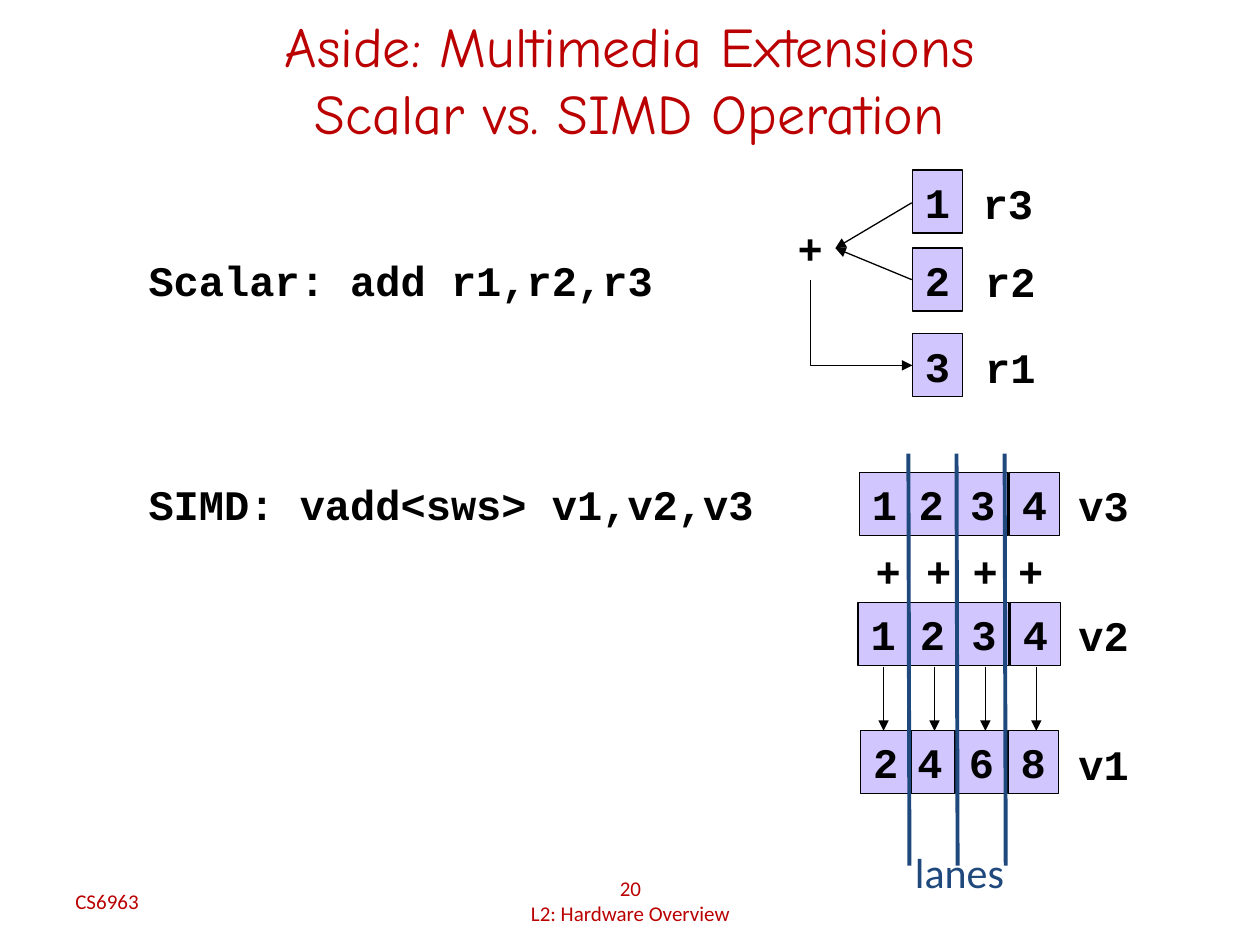
from lxml import etree
from pptx import Presentation
from pptx.dml.color import RGBColor
from pptx.enum.shapes import MSO_CONNECTOR, MSO_SHAPE
from pptx.enum.text import MSO_ANCHOR, PP_ALIGN
from pptx.oxml.ns import qn
from pptx.util import Pt

STRAIGHT, ELBOW = MSO_CONNECTOR.STRAIGHT, MSO_CONNECTOR.ELBOW
RECTANGLE = MSO_SHAPE.RECTANGLE
TOP, MIDDLE = MSO_ANCHOR.TOP, MSO_ANCHOR.MIDDLE
LEFT, CENTER = PP_ALIGN.LEFT, PP_ALIGN.CENTER


def color(value):
    return RGBColor.from_string(value)


class Canvas:
    """Holds the deck style and draws each kind of element on one slide."""

    RED, BLUE, BLACK, LILAC = "BA0000", "1F497D", "000000", "D2C6FE"
    CODE, PLAIN, HAND = "Courier New", "Calibri", "Comic Neue"
    CELL_WIDTH, HEIGHT = 28.8, 36

    def __init__(self, slide):
        self.slide = slide

    def run(self, paragraph, wording, font, size, ink, bold=False):
        run = paragraph.add_run()
        run.text = wording
        run.font.name = font
        run.font.size = Pt(size)
        run.font.bold = bold
        run.font.color.rgb = color(ink)

    def title(self, lines, left, top, width, height):
        heading = self.slide.shapes.title
        heading.left, heading.top = Pt(left), Pt(top)
        heading.width, heading.height = Pt(width), Pt(height)
        heading.text_frame.vertical_anchor = MIDDLE
        paragraph = heading.text_frame.paragraphs[0]
        paragraph.alignment = CENTER
        for number, line in enumerate(lines):
            if number:
                paragraph.add_line_break()
            self.run(paragraph, line, self.HAND, 32, self.RED)

    def code(self, frame, wording, align=CENTER, anchor=TOP):
        frame.word_wrap = False
        frame.vertical_anchor = anchor
        paragraph = frame.paragraphs[0]
        paragraph.alignment = align
        self.run(paragraph, wording, self.CODE, 24, self.BLACK, True)

    def label(self, wording, left, top, width, align=CENTER, anchor=TOP):
        box = self.slide.shapes.add_textbox(Pt(left), Pt(top), Pt(width), Pt(self.HEIGHT))
        self.code(box.text_frame, wording, align, anchor)

    def cell(self, value, left, top):
        box = self.slide.shapes.add_shape(
            RECTANGLE, Pt(left), Pt(top), Pt(self.CELL_WIDTH), Pt(self.HEIGHT))
        box.shadow.inherit = False
        box.fill.solid()
        box.fill.fore_color.rgb = color(self.LILAC)
        box.line.color.rgb = color(self.BLACK)
        box.line.width = Pt(0.75)
        self.code(box.text_frame, value)

    def note(self, lines, left, top, width, height, size, ink, align, anchor=MIDDLE, wrap=True):
        box = self.slide.shapes.add_textbox(Pt(left), Pt(top), Pt(width), Pt(height))
        frame = box.text_frame
        frame.word_wrap = wrap
        frame.vertical_anchor = anchor
        for number, line in enumerate(lines):
            paragraph = frame.add_paragraph() if number else frame.paragraphs[0]
            paragraph.alignment = align
            self.run(paragraph, line, self.PLAIN, size, ink)

    def line(self, start, end, ink=BLACK, width=0.75, kind=STRAIGHT):
        line = self.slide.shapes.add_connector(kind, *map(Pt, (*start, *end)))
        line.line.color.rgb = color(ink)
        line.line.width = Pt(width)
        etree.SubElement(line._element.spPr, qn("a:effectLst"))
        return line

    def arrow(self, start, end, kind=STRAIGHT):
        arrow = self.line(start, end, kind=kind)
        etree.SubElement(arrow.line._get_or_add_ln(), qn("a:tailEnd"), type="triangle")
        return arrow

    def down_then_right(self, start, end):
        middle_x, middle_y = (start[0] + end[0]) / 2, (start[1] + end[1]) / 2
        half_run, half_drop = (end[0] - start[0]) / 2, (end[1] - start[1]) / 2
        bend = self.arrow(
            (middle_x + half_drop, middle_y - half_run),
            (middle_x - half_drop, middle_y + half_run), ELBOW)
        properties = bend._element.spPr
        properties.find(qn("a:prstGeom")).set("prst", "bentConnector2")
        properties.find(qn("a:xfrm")).set("rot", "16200000")


def draw_scalar(canvas):
    canvas.label("Scalar: add r1,r2,r3", 77.8, 141.8, 302.4, LEFT, MIDDLE)
    registers = [("1", "r3", 97.2, 554.4), ("2", "r2", 141.8, 555.8), ("3", "r1", 190.8, 555.8)]
    for value, register, top, label_left in registers:
        canvas.cell(value, 521.3, top)
        canvas.label(register, label_left, top + 0.7, 43.2)
    canvas.label("+", 448.6, 123.8, canvas.CELL_WIDTH)
    for source_y in (115.9, 159.8):
        canvas.arrow((521, source_y), (477.4, 141.8))
    canvas.down_then_right((463, 159.8), (521.3, 208.8))


def draw_simd(canvas):
    canvas.label("SIMD: vadd<sws> v1,v2,v3", 77.8, 270, 360, LEFT, MIDDLE)
    vectors = [("v3", "1234", 270, 491, 517.7), ("v2", "1234", 344.2, 490.3, 518.4),
               ("v1", "2468", 417.6, 491.8, 517)]
    for vector, values, top, first_left, second_left in vectors:
        for lane, value in enumerate(values[1:]):
            canvas.cell(value, second_left + lane * 29.5, top)
        canvas.cell(values[0], first_left, top)
        canvas.label(vector, 609.1, top + 0.7, 43.2)
    for left in (493.2, 522, 548.6, 574.6):
        canvas.label("+", left, 308.2, canvas.CELL_WIDTH)
    for lane in range(4):
        x = 504.9 + lane * 29.1
        canvas.arrow((x, 380.9), (x, 417.6))
    for lane in range(3):
        x = 519.1 + lane * 27.5
        canvas.line((x, 259.2), (x + 0.6, 494.6), canvas.BLUE, 2.25)
    canvas.note(["lanes"], 515.5, 480.2, 65.5, 36, 24, canvas.BLUE, CENTER, TOP, False)


def main():
    deck = Presentation()
    deck.slide_width, deck.slide_height = Pt(720), Pt(540)
    canvas = Canvas(deck.slides.add_slide(deck.slide_layouts[5]))
    canvas.title(["Aside: Multimedia Extensions", "Scalar vs. SIMD Operation"], 36, 0, 648, 90)
    draw_scalar(canvas)
    draw_simd(canvas)
    canvas.note(["CS6963"], 36, 500.4, 167.8, 28.8, 12, canvas.RED, LEFT)
    canvas.note(["20", "L2: Hardware Overview"], 246.2, 500.4, 228.2, 28.8, 12, canvas.RED, CENTER)
    deck.save("out.pptx")


if __name__ == "__main__":
    main()
